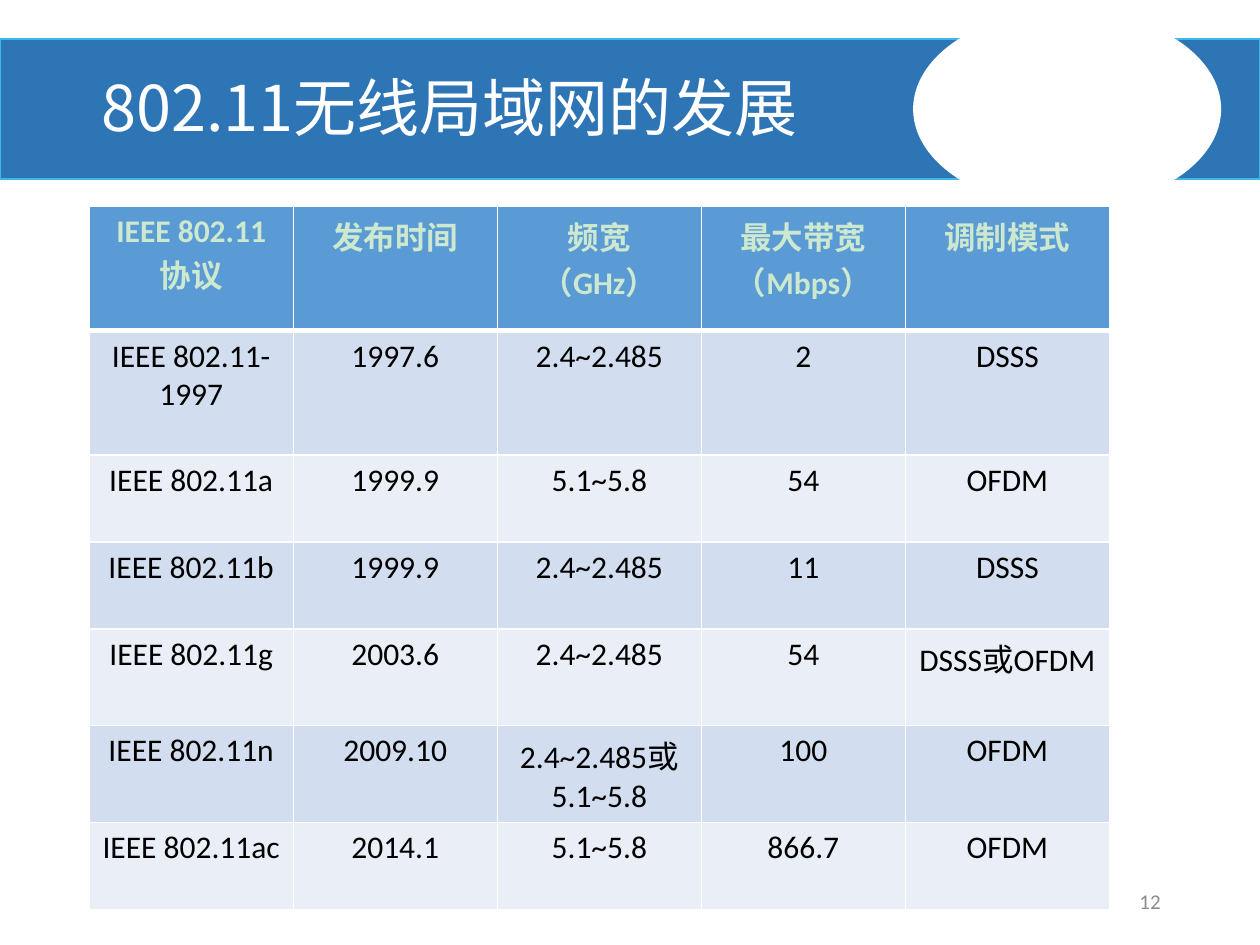
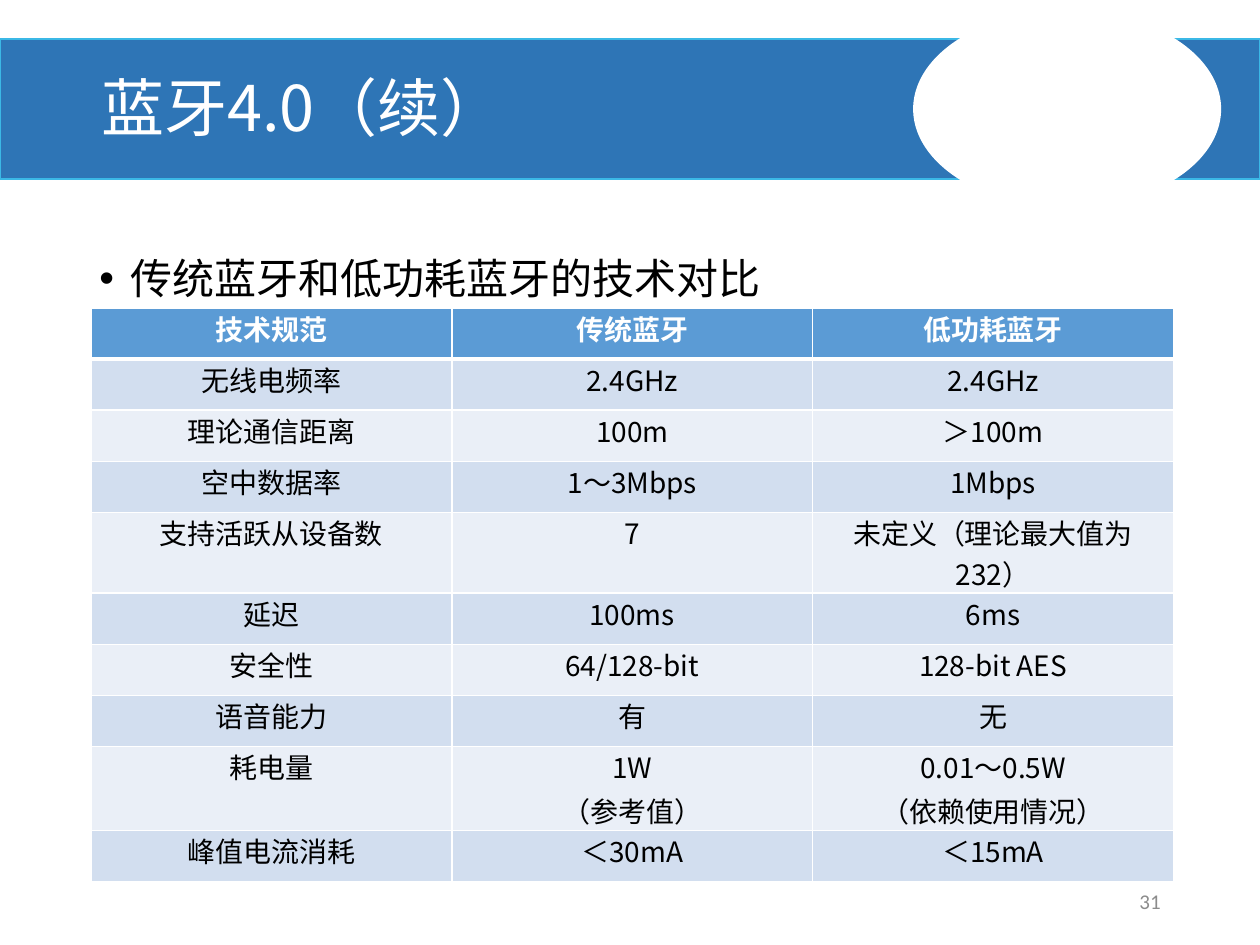
from dataclasses import dataclass

from lxml import etree
from pptx import Presentation
from pptx import util as u
from pptx.dml import color
from pptx.enum import shapes, text
from pptx.oxml import ns

Pt = u.Pt
ALIGN = text.PP_ALIGN
ANCHOR = text.MSO_ANCHOR


@dataclass(frozen=True)
class Theme:
    paper: str = "FFFFFF"
    ink: str = "000000"
    band: str = "2E75B6"
    band_edge: str = "3BB8E6"
    header: str = "5B9BD5"
    header_tint: str = "CCE8CF"
    stripes: tuple = ("D2DEEF", "EAEFF7")
    muted: str = "8C8C8C"
    latin: str = "Calibri"
    cjk: str = "Noto Sans CJK SC"
    title_size: int = 36
    body_size: int = 24
    table_size: int = 18
    small_table_size: int = 16
    number_size: int = 12


def rgb(value):
    return color.RGBColor.from_string(value)


def add_xml(parent, tag, **attributes):
    return etree.SubElement(parent, ns.qn(tag), attributes)


def write(frame, content, *, font, size, ink, bold=False, align=ALIGN.LEFT,
          spacing=None, after=None, bullet=None, indent=18):
    """Fill a text frame, one paragraph for each line of content."""
    for index, line in enumerate(content.split("\n")):
        para = frame.add_paragraph() if index else frame.paragraphs[0]
        para.alignment = align
        if spacing:
            para.line_spacing = spacing
        if after is not None:
            para.space_after = Pt(after)
        if bullet:
            properties = para._p.get_or_add_pPr()
            properties.set("marL", str(Pt(indent)))
            properties.set("indent", str(-Pt(indent)))
            add_xml(properties, "a:buFont", typeface="Arial")
            add_xml(properties, "a:buChar", char=bullet)
        span = para.add_run()
        span.text = line
        span.font.name = font
        span.font.size = Pt(size)
        span.font.bold = bold
        span.font.color.rgb = rgb(ink)
        add_xml(span._r.get_or_add_rPr(), "a:ea", typeface=Theme.cjk)


class DeckBuilder:
    def __init__(self, theme):
        self.theme = theme
        self.deck = Presentation()
        self.deck.slide_width, self.deck.slide_height = Pt(720), Pt(540)
        self.page = None

    def new_page(self, title, number):
        """Start a page with the shared band, title and page number."""
        t = self.theme
        self.page = self.deck.slides.add_slide(self.deck.slide_layouts[6])
        self.page.background.fill.solid()
        self.page.background.fill.fore_color.rgb = rgb(t.paper)
        kinds = shapes.MSO_SHAPE
        self.shape(kinds.RECTANGLE, 0, 22.3, 720, 80, t.band, t.band_edge)
        self.shape(kinds.OVAL, 522.3, 6.5, 175, 111.6, t.paper, t.paper)
        self.text(title, 50.8, 24, 458, 78.5, anchor=ANCHOR.MIDDLE,
                  font=t.cjk, size=t.title_size, ink=t.paper, spacing=0.9)
        self.text(str(number), 508.3, 500.4, 162, 28.8, anchor=ANCHOR.MIDDLE,
                  font=t.latin, size=t.number_size, ink=t.muted,
                  align=ALIGN.RIGHT)

    def shape(self, kind, left, top, width, height, fill, line):
        shape = self.page.shapes.add_shape(
            kind, Pt(left), Pt(top), Pt(width), Pt(height))
        shape.shadow.inherit = False
        shape.fill.solid()
        shape.fill.fore_color.rgb = rgb(fill)
        shape.line.color.rgb = rgb(line)
        shape.line.width = Pt(1)

    def text(self, content, left, top, width, height, anchor=ANCHOR.TOP,
             **style):
        box = self.page.shapes.add_textbox(
            Pt(left), Pt(top), Pt(width), Pt(height))
        box.text_frame.word_wrap = True
        box.text_frame.vertical_anchor = anchor
        write(box.text_frame, content, **style)

    def borders(self, cell, top=1, bottom=1):
        properties = cell._tc.get_or_add_tcPr()
        for side, width in zip("LRTB", (1, 1, top, bottom)):
            line = add_xml(properties, f"a:ln{side}", w=str(Pt(width)))
            add_xml(add_xml(line, "a:solidFill"), "a:srgbClr",
                    val=self.theme.paper)

    def table(self, rows, left, top, column_width, heights, *, header_ink,
              margins=None, **style):
        t = self.theme
        count = len(rows[0])
        table = self.page.shapes.add_table(
            len(rows), count, Pt(left), Pt(top),
            Pt(column_width * count), Pt(sum(heights))).table
        table.horz_banding = False
        for column in table.columns:
            column.width = Pt(column_width)
        for r, (values, height) in enumerate(zip(rows, heights)):
            table.rows[r].height = Pt(height)
            is_header = r == 0
            for c, value in enumerate(values):
                cell = table.cell(r, c)
                if margins:
                    side, edge = margins
                    cell.margin_left = cell.margin_right = Pt(side)
                    cell.margin_top = cell.margin_bottom = Pt(edge)
                # The rule below the header is heavier
                self.borders(cell, top=3 if r == 1 else 1,
                             bottom=3 if is_header else 1)
                cell.fill.solid()
                cell.fill.fore_color.rgb = rgb(
                    t.header if is_header else t.stripes[(r - 1) % 2])
                write(cell.text_frame, value, bold=is_header,
                      ink=header_ink if is_header else t.ink,
                      align=ALIGN.CENTER, **style)


WLAN_STANDARDS = [
    ("IEEE 802.11协议", "发布时间", "频宽\n（GHz）", "最大带宽（Mbps）", "调制模式"),
    ("IEEE 802.11-1997", "1997.6", "2.4~2.485", "2", "DSSS"),
    ("IEEE 802.11a", "1999.9", "5.1~5.8", "54", "OFDM"),
    ("IEEE 802.11b", "1999.9", "2.4~2.485", "11", "DSSS"),
    ("IEEE 802.11g", "2003.6", "2.4~2.485", "54", "DSSS或OFDM"),
    ("IEEE 802.11n", "2009.10", "2.4~2.485或5.1~5.8", "100", "OFDM"),
    ("IEEE 802.11ac", "2014.1", "5.1~5.8", "866.7", "OFDM"),
]

BLUETOOTH_COMPARISON = [
    ("技术规范", "传统蓝牙", "低功耗蓝牙"),
    ("无线电频率", "2.4GHz", "2.4GHz"),
    ("理论通信距离", "100m", "＞100m"),
    ("空中数据率", "1～3Mbps", "1Mbps"),
    ("支持活跃从设备数", "7", "未定义（理论最大值为232）"),
    ("延迟", "100ms", "6ms"),
    ("安全性", "64/128-bit", "128-bit AES"),
    ("语音能力", "有", "无"),
    ("耗电量", "1W\n（参考值）", "0.01～0.5W\n（依赖使用情况）"),
    ("峰值电流消耗", "＜30mA", "＜15mA"),
]

# Rows with two lines of text are taller than the rest
WLAN_HEIGHTS = [71] * 2 + [49.7] * 2 + [55.3] * 2 + [49.7]
BLUETOOTH_HEIGHTS = [29.2] * 4 + [46.2] + [29.2] * 3 + [48] + [29.2]


def main():
    theme = Theme()
    builder = DeckBuilder(theme)

    # Wireless LAN standards
    builder.new_page("802.11无线局域网的发展", 12)
    builder.table(WLAN_STANDARDS, 51, 118, 116.6, WLAN_HEIGHTS,
                  header_ink=theme.header_tint, font=theme.latin,
                  size=theme.table_size)

    # Classic and low-energy Bluetooth
    builder.new_page("蓝牙4.0（续）", 31)
    builder.text("传统蓝牙和低功耗蓝牙的技术对比", 49.7, 144, 620.6, 342.7,
                 font=theme.cjk, size=theme.body_size, ink=theme.ink,
                 spacing=0.9, bullet="•")
    builder.table(BLUETOOTH_COMPARISON, 52, 176, 206.2, BLUETOOTH_HEIGHTS,
                  header_ink=theme.paper, margins=(5, 0), font=theme.cjk,
                  size=theme.small_table_size, after=2)

    builder.deck.save("out.pptx")


if __name__ == "__main__":
    main()
